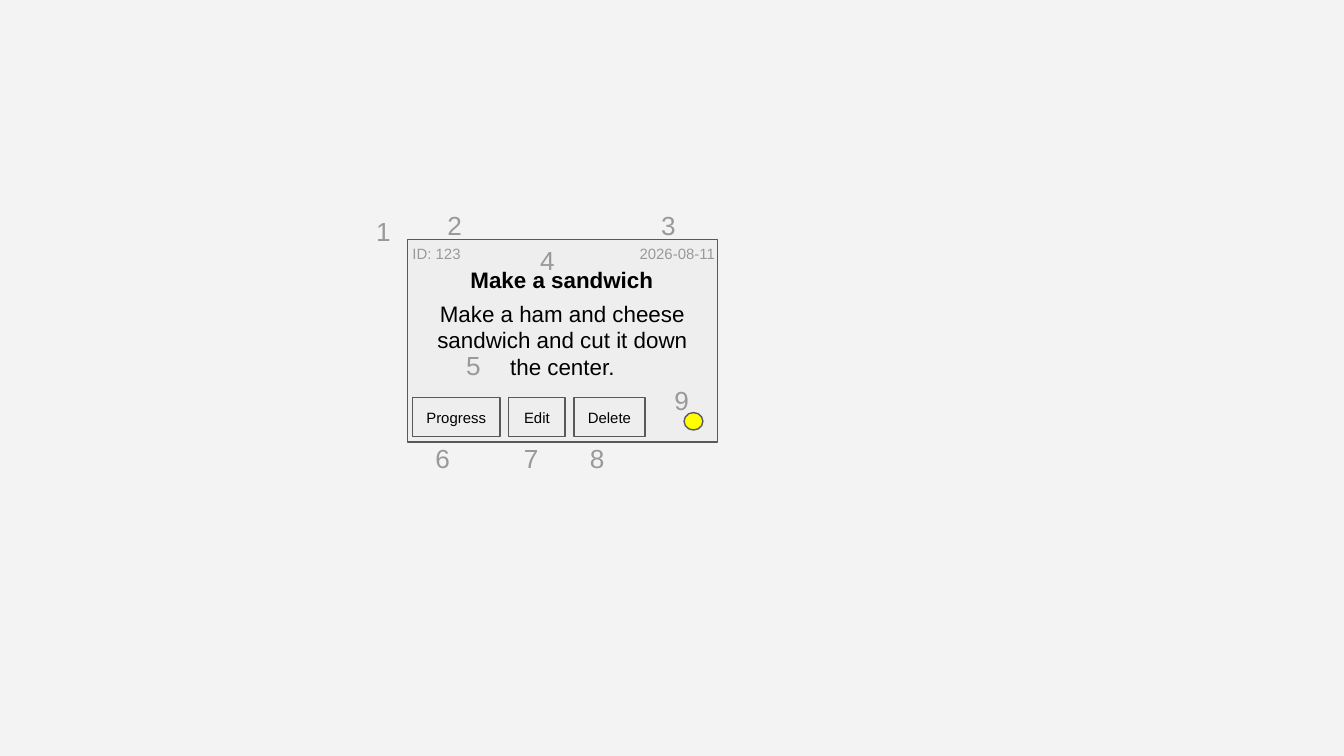
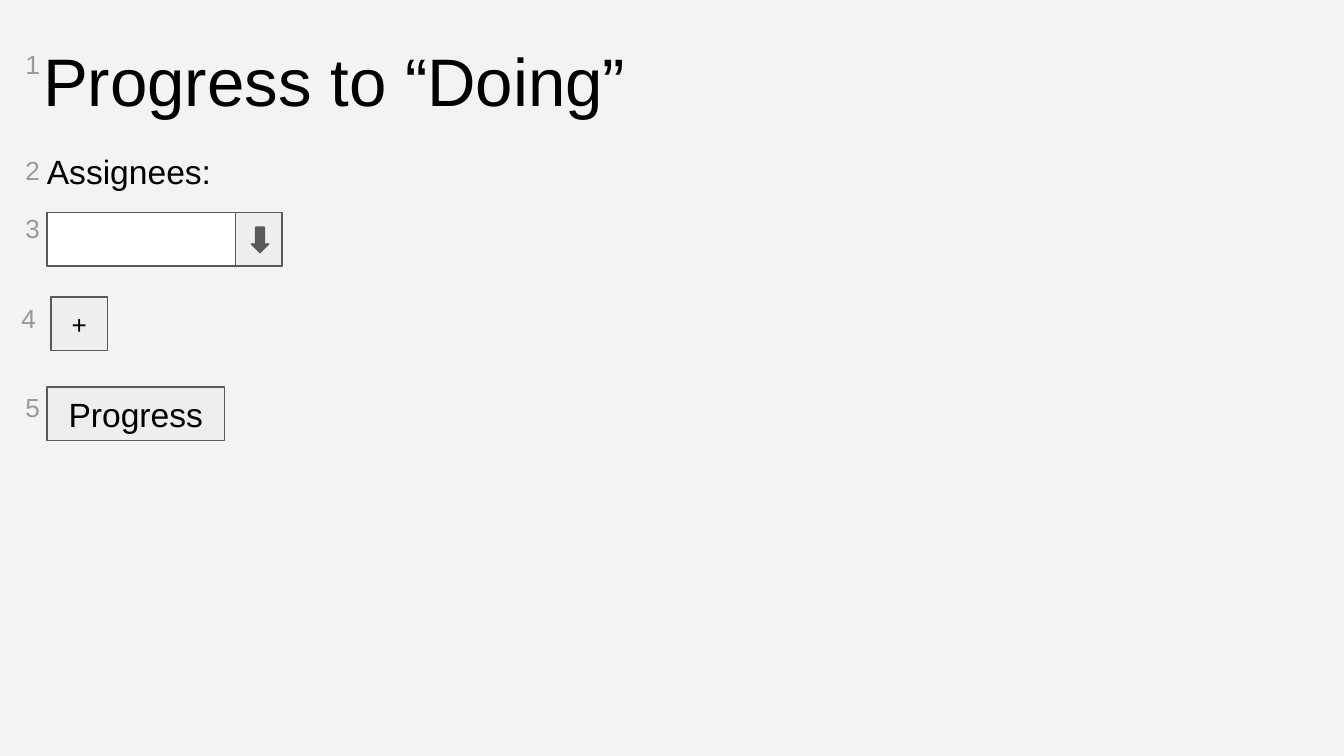
from pptx import Presentation
from pptx.dml.color import RGBColor
from pptx.enum.shapes import MSO_SHAPE as Preset
from pptx.enum.text import MSO_ANCHOR as Anchor, MSO_AUTO_SIZE as AutoSize, PP_ALIGN as Align
from pptx.util import Inches, Pt

COLORS = {
    "page": "F3F3F3",
    "panel": "EEEEEE",
    "field": "FFFFFF",
    "outline": "595959",
    "ink": "000000",
    "muted": "999999",
    "status": "FFFF00",
}
FONT = "Arial"
COLUMNS, ROWS = 100, 56.25
BUTTON_GAP = 0.65


def color(name):
    return RGBColor.from_string(COLORS[name])


class Wireframe:
    """Draws on the current slide; places are (column, row, columns, rows)."""

    def __init__(self):
        self.deck = Presentation()
        self.deck.slide_width = Inches(10)
        self.deck.slide_height = Inches(5.625)
        backdrop = self.deck.slide_master.background.fill
        backdrop.solid()
        backdrop.fore_color.rgb = color("page")
        self.slide = None

    def new_slide(self):
        self.slide = self.deck.slides.add_slide(self.deck.slide_layouts[5])

    def place(self, column, row, columns, rows):
        cell_width = self.deck.slide_width / COLUMNS
        cell_height = self.deck.slide_height / ROWS
        return [round(column * cell_width), round(row * cell_height),
                round(columns * cell_width), round(rows * cell_height)]

    def set_text(self, holder, words, size, ink="ink", bold=False,
                 align=Align.LEFT, anchor=Anchor.TOP, wrap=True):
        frame = holder.text_frame
        frame.text = words
        frame.word_wrap = wrap
        frame.auto_size = AutoSize.NONE
        frame.vertical_anchor = anchor
        frame.margin_left = frame.margin_right = Inches(0.1)
        frame.margin_top = frame.margin_bottom = Inches(0.1)
        paragraph = frame.paragraphs[0]
        paragraph.alignment = align
        font = paragraph.font
        font.name, font.size, font.bold = FONT, Pt(size), bold
        font.color.rgb = color(ink)

    def title(self, at, words, size, bold=False):
        heading = self.slide.shapes.title
        heading.left, heading.top, heading.width, heading.height = self.place(*at)
        self.set_text(heading, words, size, bold=bold)
        # Bring the heading in front of whatever is already drawn
        heading.element.getparent().append(heading.element)

    def text(self, at, words, size, **style):
        self.set_text(self.slide.shapes.add_textbox(*self.place(*at)), words, size, **style)

    def shape(self, at, fill="panel", preset=Preset.RECTANGLE):
        figure = self.slide.shapes.add_shape(preset, *self.place(*at))
        figure.shadow.inherit = False
        figure.fill.solid()
        figure.fill.fore_color.rgb = color(fill)
        figure.line.color.rgb = color("outline")
        figure.line.width = Pt(0.75)
        return figure

    def button(self, at, label, size):
        self.set_text(self.shape(at), label, size, align=Align.CENTER,
                      anchor=Anchor.MIDDLE, wrap=False)

    def callouts(self, corners):
        for number, (column, row) in enumerate(corners, start=1):
            self.text((column, row, 4.9, 5.3), str(number), 14, ink="muted")


def task_card(wire):
    wire.new_slide()

    # Card with its id, date, heading and description
    wire.shape((30.3, 17.8, 23.1, 15.1))
    for column, detail in ((29.7, "ID: 123"), (46.6, "2026-08-11")):
        wire.text((column, 17.2, 48.5, 3.4), detail, 8, ink="muted")
    wire.title((34, 18.8, 15.7, 4), "Make a sandwich", 12, bold=True)
    wire.text((30.3, 21.3, 23.1, 8.1),
              "Make a ham and cheese sandwich and cut it down the center.",
              12, align=Align.CENTER)

    # Row of buttons and the status light
    column = 30.7
    for label, columns in (("Progress", 6.5), ("Edit", 4.2), ("Delete", 5.3)):
        wire.button((column, 29.6, columns, 2.9), label, 8)
        column += columns + BUTTON_GAP
    wire.shape((50.9, 30.7, 1.4, 1.3), "status", Preset.OVAL)

    wire.callouts([(27, 15), (32.3, 14.6), (48.2, 14.6), (39.2, 17.2), (33.7, 25),
                   (31.4, 31.9), (38, 31.9), (42.9, 31.9), (49.2, 27.6)])


def progress_form(wire):
    wire.new_slide()
    wire.title((2.2, 1.9, 47, 7.6), "Progress to “Doing”", 36)
    wire.text((2.5, 10.2, 17.5, 4), "Assignees:", 18)

    # Drop-down list
    wire.shape((3.5, 15.8, 17.5, 4), "field")
    wire.shape((17.5, 15.8, 3.5, 4))
    wire.shape((18.7, 16.9, 1.3, 1.9), "outline", Preset.DOWN_ARROW)

    # Buttons
    wire.button((3.8, 22.1, 4.2, 4), "+", 14)
    wire.button((3.5, 28.8, 13.2, 4), "Progress", 18)

    wire.callouts([(0.9, 2.6), (0.9, 10.5), (0.9, 14.8), (0.6, 21.5), (0.9, 28.1)])


def main():
    wire = Wireframe()
    task_card(wire)
    progress_form(wire)
    wire.deck.save("out.pptx")


if __name__ == "__main__":
    main()
